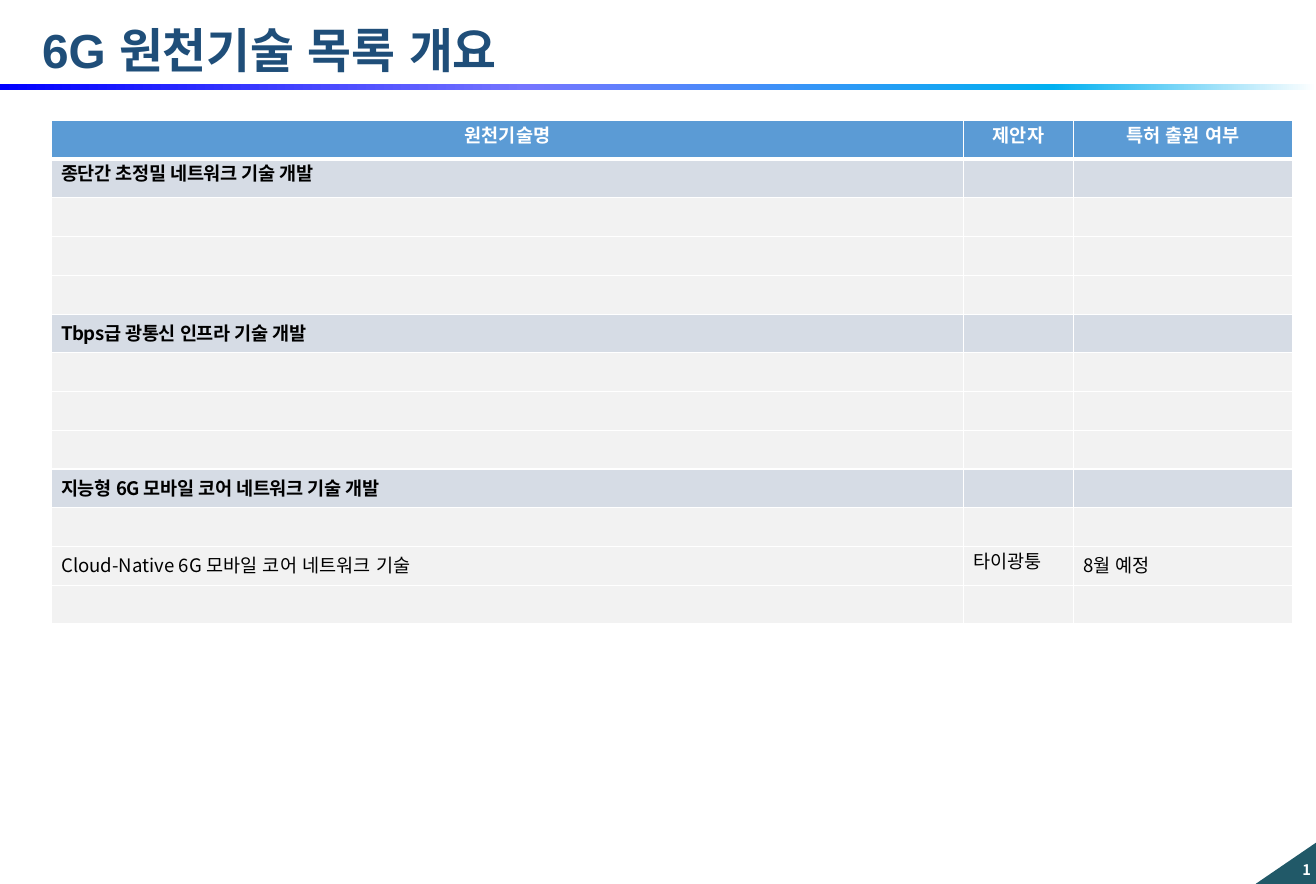
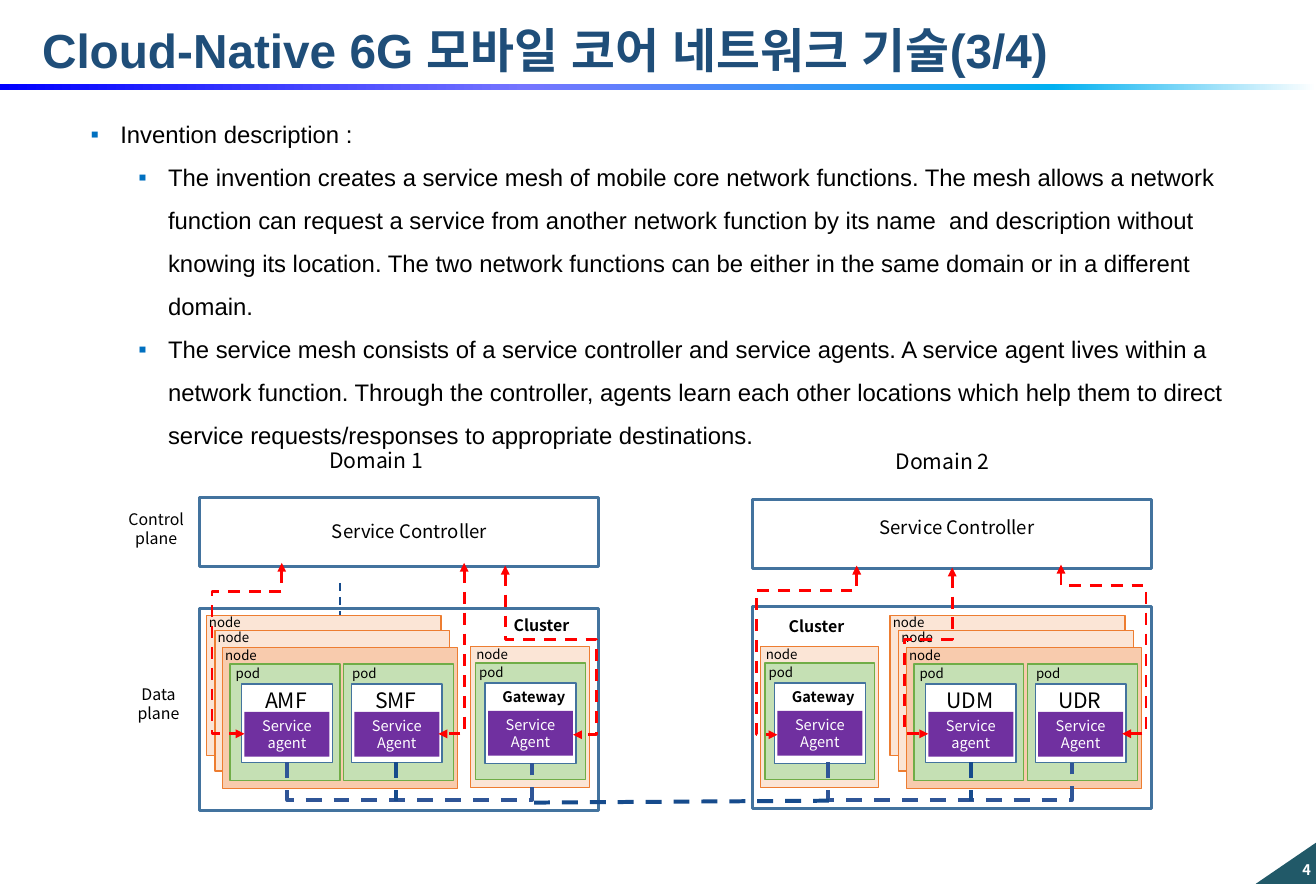
from pptx import Presentation
from pptx.dml.color import RGBColor
from pptx.enum.dml import MSO_LINE_DASH_STYLE as Dash
from pptx.enum.shapes import MSO_CONNECTOR as Link, MSO_SHAPE as Shape
from pptx.enum.text import MSO_ANCHOR as Anchor, MSO_AUTO_SIZE as Fit, PP_ALIGN as Align
from pptx.oxml.ns import qn
from pptx.util import Cm, Inches, Pt
from lxml.etree import Element, SubElement

COLORS = {
    "white": "FFFFFF", "black": "000000", "title": "1F4E79", "corner": "215968",
    "header": "5B9BD5", "section": "D6DCE5", "row": "F2F2F2", "bullet": "0070C0",
    "frame": "43739E", "node": "FBE5D6", "front": "F8CBAD", "node_line": "ED7D31",
    "pod": "C5E0B4", "pod_line": "70AD47", "agent": "7030A0",
    "request": "FF0000", "bus": "2F5597", "link": "164B8C",
}
BAND_STOPS = [(0, "0000FF"), (40, "7575FF"), (80, "00B0F0"), (100, "FFFFFF")]
SANS, KOREAN = "Arial", "Noto Sans CJK KR"

TABLE_COLUMNS = [9.55, 1.15, 2.29]
TABLE_HEADER = ["원천기술명", "제안자", "특허 출원 여부"]
BLANK = ["", "", ""]
TABLE_SECTIONS = [
    ("종단간 초정밀 네트워크 기술 개발", [BLANK] * 3),
    ("Tbps급 광통신 인프라 기술 개발", [BLANK] * 3),
    ("지능형 6G 모바일 코어 네트워크 기술 개발",
     [BLANK, ["Cloud-Native 6G 모바일 코어 네트워크 기술", "타이광퉁", "8월 예정"], BLANK]),
]
DESCRIPTION = [
    (0, "Invention description :"),
    (1, "The invention creates a service mesh of mobile core network functions. "
        "The mesh allows a network function can request a service from another network "
        "function by its name  and description without knowing its location. The two network "
        "functions can be either in the same domain or in a different domain."),
    (1, "The service mesh consists of a service controller and service agents. A service agent "
        "lives within a network function. Through the controller, agents learn each other "
        "locations which help them to direct service requests/responses to appropriate "
        "destinations."),
]
# Positions inside a domain are measured from its left, top corner.
# Each request runs (start, end, turns); turns are the y and x where the line bends.
DOMAINS = [
    {"box": (2.09, 5.21), "name": "Domain 1", "name_at": (0.52, -0.58),
     "controller": 0, "controller_text": (1.18, 0.18), "cluster": 1.16,
     "cluster_text": (3.19, 1.18), "stack": 0.07, "gateway": 2.84,
     "functions": ["AMF", "SMF"], "bus": (0.92, 2.06, 3.48),
     "requests": [((0.86, 0.68), (0.47, 2.47), (0.98, 0.13)),
                  ((2.77, 0.68), (2.5, 2.47), ()),
                  ((3.2, 0.71), (3.91, 2.48), (1.48, 4.16))]},
    {"box": (7.88, 5.21), "name": "Domain 2", "name_at": (0.66, -0.57),
     "controller": 0.02, "controller_text": (1.12, 0.14), "cluster": 1.14,
     "cluster_text": (0.28, 1.19), "stack": 1.44, "gateway": 0.08,
     "functions": ["UDM", "UDR"], "bus": (0.79, 2.29, 3.34),
     "requests": [((1.09, 0.71), (0.26, 2.48), (0.97, 0.04)),
                  ((2.09, 0.73), (1.84, 2.47), (1.48, 1.59)),
                  ((3.23, 0.7), (3.87, 2.47), (0.92, 4.12))]},
]


def rgb(name):
    return RGBColor.from_string(COLORS[name])


def style_text(para, size, color="black", bold=False, font=KOREAN, spacing=None):
    for span in para.runs:
        span.font.size, span.font.bold, span.font.name = Pt(size), bold, font
        span.font.color.rgb = rgb(color)
        props = span.font._element
        SubElement(props, qn("a:ea")).set("typeface", SANS)
        if spacing is not None:
            props.set("spc", str(int(spacing * 100)))


def set_insets(frame, left, top, right, bottom):
    frame.margin_left, frame.margin_top = Inches(left), Inches(top)
    frame.margin_right, frame.margin_bottom = Inches(right), Inches(bottom)


def place(shape, left, top, width, height):
    shape.left, shape.top = Inches(left), Inches(top)
    shape.width, shape.height = Inches(width), Inches(height)


def add_box(page, left, top, width, height, fill=None, line=None, weight=1, kind=Shape.RECTANGLE):
    box = page.shapes.add_shape(kind, Inches(left), Inches(top), Inches(width), Inches(height))
    box.shadow.inherit = False
    if fill:
        box.fill.solid()
        box.fill.fore_color.rgb = rgb(fill)
    else:
        box.fill.background()
    if line:
        box.line.color.rgb = rgb(line)
        box.line.width = Pt(weight)
    else:
        box.line.fill.background()
    return box


def write(box, text, size, color="black", bold=False, align=Align.CENTER):
    frame = box.text_frame
    frame.word_wrap, frame.vertical_anchor = True, Anchor.TOP
    frame.text = text
    para = frame.paragraphs[0]
    para.alignment = align
    style_text(para, size, color, bold)


def add_label(page, text, left, top, width, height, size, **style):
    box = page.shapes.add_textbox(Inches(left), Inches(top), Inches(width), Inches(height))
    write(box, text, size, **style)


def finish_line(line, color, weight, arrows=False):
    line.line.color.rgb = rgb(color)
    line.line.width = Pt(weight)
    line.line.dash_style = Dash.DASH
    props = line._element.spPr
    if arrows:
        for end in ("a:headEnd", "a:tailEnd"):
            SubElement(props.find(qn("a:ln")), qn(end)).set("type", "triangle")
    SubElement(props, qn("a:effectLst"))


def add_line(page, start, end, color="link", weight=3):
    points = [Inches(value) for value in (*start, *end)]
    finish_line(page.shapes.add_connector(Link.STRAIGHT, *points), color, weight)


def add_elbow(page, start, end, turns, color, weight, arrows=False):
    """Leave start vertically; turns are the y, then the x, of the bends."""
    (x0, y0), (x1, y1) = start, end
    drop, run = y1 - y0, x1 - x0
    width, height = abs(drop), abs(run)
    line = page.shapes.add_connector(Link.ELBOW, 0, 0, 0, 0)
    place(line, (x0 + x1 - width) / 2, (y0 + y1 - height) / 2, width, height)
    line.rotation = 90 if run < 0 else 270
    props = line._element.spPr
    if run > 0:
        props.find(qn("a:xfrm")).set("flipH", "1")
    shape = props.find(qn("a:prstGeom"))
    shape.set("prst", f"bentConnector{len(turns) + 2}")
    guides = shape.find(qn("a:avLst"))
    if guides is None:
        guides = SubElement(shape, qn("a:avLst"))
    for index, (turn, origin, span) in enumerate(zip(turns, (y0, x0), (drop, run)), 1):
        guide = SubElement(guides, qn("a:gd"))
        guide.set("name", f"adj{index}")
        guide.set("fmla", f"val {round((turn - origin) / span * 100000)}")
    finish_line(line, color, weight, arrows)


# Parts shared by the slides
def add_band(page):
    band = add_box(page, 0, 0.88, 13.78, 0.06)
    band.fill.gradient()
    band.fill.gradient_angle = 0
    stops = band._element.spPr.find(qn("a:gradFill")).find(qn("a:gsLst"))
    for stop in list(stops):
        stops.remove(stop)
    for position, color in BAND_STOPS:
        stop = SubElement(stops, qn("a:gs"))
        stop.set("pos", str(position * 1000))
        SubElement(stop, qn("a:srgbClr")).set("val", color)


def add_page(deck, layout, title, number):
    page = deck.slides.add_slide(deck.slide_layouts[layout])
    add_band(page)
    corner = add_box(page, 13.15, 8.82, 0.63, 0.43, "corner", kind=Shape.RIGHT_TRIANGLE)
    corner._element.spPr.find(qn("a:xfrm")).set("flipH", "1")
    write(corner, str(number), 11, "white", True, Align.RIGHT)
    corner.text_frame.vertical_anchor = Anchor.MIDDLE
    set_insets(corner.text_frame, 0, 0, 0, 0.08)

    heading = page.shapes.title
    place(heading, 0.4, 0.15, 12.95, 0.73)
    frame = heading.text_frame
    frame.text = title
    frame.auto_size, frame.vertical_anchor = Fit.NONE, Anchor.MIDDLE
    set_insets(frame, 0.04, 0.08, 0.04, 0)
    para = frame.paragraphs[0]
    para.alignment, para.line_spacing = Align.LEFT, 0.9
    style_text(para, 36, "title", True, SANS)
    return page


# Technology table
def add_bottom_border(cell, weight):
    border = Element(qn("a:lnB"), w=str(Pt(weight)))
    fill = SubElement(border, qn("a:solidFill"))
    SubElement(fill, qn("a:srgbClr")).set("val", COLORS["white"])
    cell._tc.get_or_add_tcPr().insert(0, border)


def add_technology_table(page, left, top, width, height):
    rows = [(TABLE_HEADER, "header")]
    for name, items in TABLE_SECTIONS:
        rows.append(([name, "", ""], "section"))
        rows += [(item, "row") for item in items]
    table = page.shapes.add_table(len(rows), len(TABLE_COLUMNS), Inches(left), Inches(top),
                                  Inches(width), Inches(height)).table
    for column, size in zip(table.columns, TABLE_COLUMNS):
        column.width = Inches(size)
    for row, (texts, kind) in enumerate(rows):
        for column, text in enumerate(texts):
            cell = table.cell(row, column)
            cell.fill.solid()
            cell.fill.fore_color.rgb = rgb(kind)
            if kind == "header":
                add_bottom_border(cell, 3)
            if not text:
                continue
            cell.text = text
            para = cell.text_frame.paragraphs[0]
            para.alignment = Align.CENTER if kind == "header" else Align.LEFT
            style_text(para, 14, "white" if kind == "header" else "black", kind != "row",
                       spacing=-0.4 if kind == "section" else None)


# Bulleted description
def fill_description(body, left, top, width, height):
    place(body, left, top, width, height)
    frame = body.text_frame
    frame.text = "\n".join(text for _, text in DESCRIPTION)
    frame.auto_size = Fit.NONE
    for para, (level, _) in zip(frame.paragraphs, DESCRIPTION):
        para.level, para.line_spacing = level, 1.5
        para.space_before = para.space_after = Pt(0)
        props = para._p.get_or_add_pPr()
        props.set("marL", str(Inches(0.81 + 0.5 * level)))
        props.set("indent", str(Inches(-0.31)))
        SubElement(SubElement(props, qn("a:buClr")), qn("a:srgbClr")).set("val", COLORS["bullet"])
        SubElement(props, qn("a:buFont")).set("typeface", SANS)
        SubElement(props, qn("a:buChar")).set("char", "▪")
        style_text(para, 18, font=SANS)


# Service mesh diagram
def add_node(page, left, top, width, fill="node", shift=0.07):
    add_box(page, left, top, width, 1.47, fill, "node_line")
    add_label(page, "node", left - shift, top - 0.06, 0.6, 0.27, 10, align=Align.LEFT)


def add_pod(page, left, top, name, inset, agent, shift, gateway=False):
    add_box(page, left, top, 1.15, 1.22, "pod", "pod_line")
    add_label(page, "pod", left - shift, top - 0.04, 0.6, 0.27, 10, align=Align.LEFT)
    left, top = left + inset, top + 0.21
    add_box(page, left, top, 0.95, 0.84 if gateway else 0.82, "white", "frame")
    if gateway:
        add_label(page, name, left - 0.01, top, 1.04, 0.29, 11, bold=True)
    else:
        add_label(page, name, left + 0.08, top - 0.02, 0.77, 0.37, 16)
    write(add_box(page, left + 0.03, top + 0.29, 0.89, 0.47, "agent"), agent, 11, "white")


def add_domain(page, domain):
    left, top = domain["box"]

    def at(point):
        return left + point[0], top + point[1]

    # Frames and names
    add_box(page, left, top + domain["controller"], 4.18, 0.72, None, "frame", 2.25)
    add_box(page, left, top + domain["cluster"], 4.18, 2.11, None, "frame", 2.25)
    add_label(page, domain["name"], *at(domain["name_at"]), 2.66, 0.37, 16)
    add_label(page, "Service Controller", *at(domain["controller_text"]), 2.04, 0.34, 14)
    add_label(page, "Cluster", *at(domain["cluster_text"]), 0.85, 0.3, 12,
              bold=True, align=Align.LEFT)
    # Stacked nodes with two functions
    stack = left + domain["stack"]
    for x, y, fill in ((0, 1.23, "node"), (0.09, 1.39, "node"), (0.17, 1.57, "front")):
        add_node(page, stack + x, top + y, 2.46, fill)
    first, second = domain["functions"]
    add_pod(page, stack + 0.25, top + 1.74, first, 0.12, "Service agent", 0.04)
    add_pod(page, stack + 1.44, top + 1.74, second, 0.08, "Service Agent", 0.01)
    # Gateway node
    gateway = left + domain["gateway"]
    add_node(page, gateway, top + 1.56, 1.24, shift=0.04)
    add_pod(page, gateway + 0.05, top + 1.73, "Gateway", 0.1, "Service Agent", 0.06, True)
    # Requests and bus
    for start, end, turns in domain["requests"]:
        bends = [turn + origin for turn, origin in zip(turns, (top, left))]
        add_elbow(page, at(start), at(end), bends, "request", 2.25, arrows=True)
    begin, middle, finish = domain["bus"]
    add_elbow(page, at((begin, 2.77)), at((finish, 2.78)), [top + 3.17], "bus", 3)
    add_line(page, at((middle, 2.77)), at((middle, 3.17)))


def main():
    deck = Presentation()
    deck.slide_width, deck.slide_height = Cm(35), Cm(23.5)

    overview = add_page(deck, 5, "6G 원천기술 목록 개요", 1)
    add_technology_table(overview, 0.54, 1.26, 12.99, 5.27)

    mesh = add_page(deck, 1, "Cloud-Native 6G 모바일 코어 네트워크 기술(3/4)", 4)
    fill_description(mesh.placeholders[1], 0.35, 1.05, 12.87, 4.13)
    add_line(mesh, (3.56, 6.1), (3.56, 6.5), weight=1.5)
    for domain in DOMAINS:
        add_domain(mesh, domain)
    add_label(mesh, "Control plane", 1.24, 5.28, 0.79, 0.5, 12)
    add_label(mesh, "Data plane", 1.31, 7.12, 0.7, 0.5, 12)
    add_line(mesh, (8.68, 8.38), (5.57, 8.4))
    deck.save("out.pptx")


if __name__ == "__main__":
    main()
